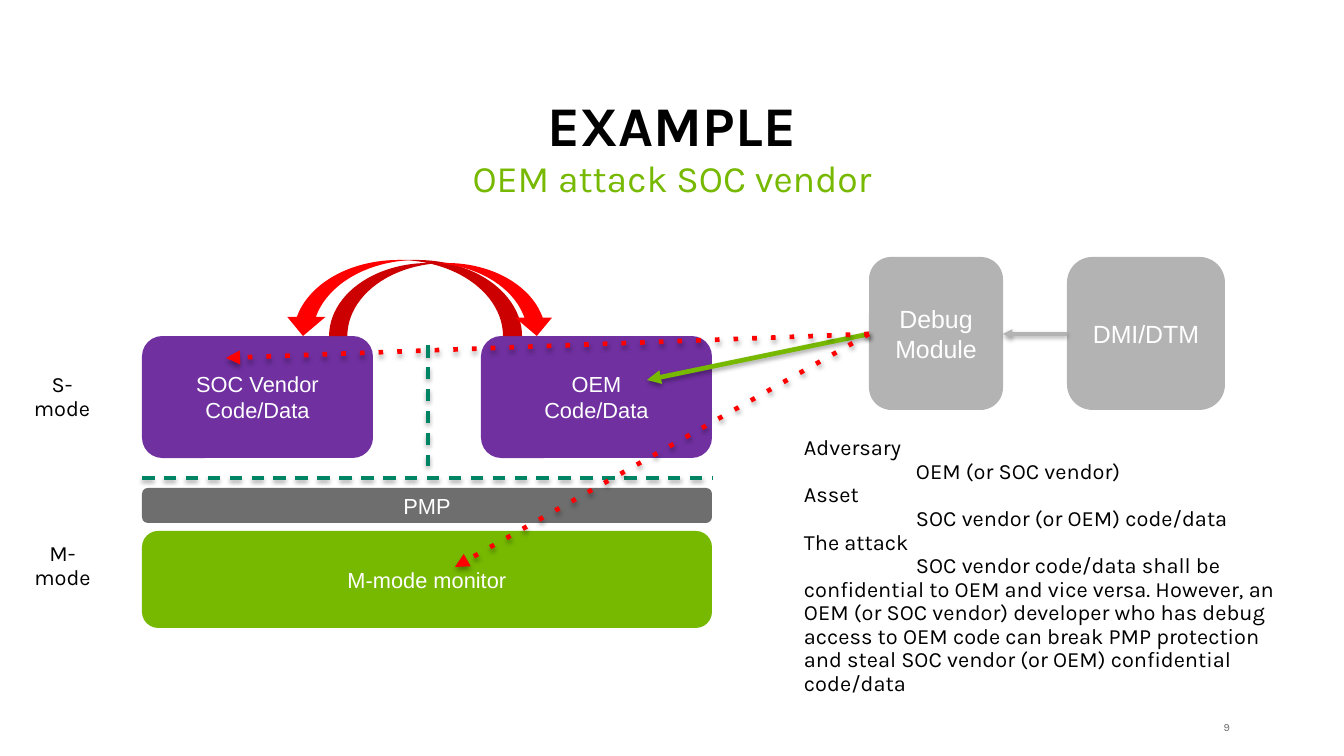
from typing import NamedTuple, Optional

from lxml.etree import SubElement
from pptx import Presentation
from pptx.dml.color import RGBColor
from pptx.enum.shapes import MSO_CONNECTOR as Connector, MSO_SHAPE as Preset
from pptx.enum.text import MSO_ANCHOR as Anchor, PP_ALIGN as Align
from pptx.oxml.ns import qn
from pptx.util import Emu, Pt

"""Builds the slide showing how an OEM attacks a SOC vendor through debug."""

PX = 914400 / 112
BLACK = RGBColor(0x00, 0x00, 0x00)
WHITE = RGBColor(0xFF, 0xFF, 0xFF)
GREEN = RGBColor(0x76, 0xB9, 0x00)
TEAL = RGBColor(0x00, 0x85, 0x64)
PURPLE = RGBColor(0x70, 0x30, 0xA0)
DARK_GRAY = RGBColor(0x6E, 0x6E, 0x6E)
LIGHT_GRAY = RGBColor(0xB3, 0xB3, 0xB3)
RED = RGBColor(0xFF, 0x00, 0x00)


class Box(NamedTuple):
    left: int
    top: int
    width: int
    height: int


class Block(NamedTuple):
    text: str
    box: Box
    fill: RGBColor
    size: int = 14


class Label(NamedTuple):
    text: str
    box: Box
    size: int = 14
    color: RGBColor = BLACK
    bold: bool = False
    align: Align = Align.CENTER
    anchor: Anchor = Anchor.MIDDLE
    spacing: float = 0.9


class Line(NamedTuple):
    start: tuple[int, int]
    end: tuple[int, int]
    color: RGBColor
    width: int
    dash: Optional[str] = None
    arrow: bool = True


DEBUG_PORT = (869, 334)
OEM_ARROW = Box(284, 260, 238, 76)
VENDOR_ARROW = Box(329, 263, 226, 73)

BLOCKS = [
    Block("M-mode monitor", Box(142, 531, 570, 97), GREEN),
    Block("OEM\nCode/Data", Box(481, 336, 231, 122), PURPLE),
    Block("SOC Vendor\nCode/Data", Box(142, 336, 231, 122), PURPLE),
    Block("PMP", Box(142, 488, 570, 35), DARK_GRAY),
    Block("Debug\nModule", Box(869, 257, 134, 153), LIGHT_GRAY, 16),
    Block("DMI/DTM", Box(1067, 257, 158, 153), LIGHT_GRAY, 16),
]
LABELS = [
    Label("EXAMPLE", Box(61, 91, 1222, 73), 36, bold=True, anchor=Anchor.BOTTOM),
    Label("OEM attack SOC vendor", Box(61, 155, 1222, 64), 24, GREEN, anchor=Anchor.TOP),
    Label("S-mode", Box(14, 380, 96, 35)),
    Label("M-mode", Box(12, 549, 101, 35)),
    Label("9", Box(1194, 718, 47, 18), 7, DARK_GRAY, align=Align.RIGHT, spacing=1.0),
]
SEPARATORS = [
    Line((142, 478), (712, 478), TEAL, 2, "dash", False),
    Line((428, 345), (428, 466), TEAL, 2, "dash", False),
]
ACCESSES = [
    Line((1067, 334), (1003, 334), LIGHT_GRAY, 2),
    Line(DEBUG_PORT, (647, 380), GREEN, 3),
    Line(DEBUG_PORT, (226, 358), RED, 3, "dot"),
    Line(DEBUG_PORT, (455, 567), RED, 3, "dot"),
]
NOTES = [
    ("Adversary", "OEM (or SOC vendor)"),
    ("Asset", "SOC vendor (or OEM) code/data"),
    (
        "The attack",
        "SOC vendor code/data shall be confidential to OEM and vice versa. "
        "However, an OEM (or SOC vendor) developer who has debug access to OEM "
        "code can break PMP protection and steal SOC vendor (or OEM) "
        "confidential code/data",
    ),
]


def px(length: int) -> Emu:
    return Emu(round(length * PX))


def place(box: Box) -> list[Emu]:
    return [px(length) for length in box]


def style_text(shape, font: str, size: int, color: RGBColor, bold: bool = False,
               align: Align = Align.CENTER, anchor: Anchor = Anchor.MIDDLE,
               spacing: float = 1.0) -> None:
    frame = shape.text_frame
    frame.word_wrap = True
    frame.vertical_anchor = anchor
    for paragraph in frame.paragraphs:
        paragraph.alignment = align
        paragraph.line_spacing = spacing
        for run in paragraph.runs:
            run.font.name = font
            run.font.size = Pt(size)
            run.font.bold = bold
            run.font.color.rgb = color


def add_filled(slide, preset: Preset, box: Box, fill: RGBColor):
    shape = slide.shapes.add_shape(preset, *place(box))
    shape.shadow.inherit = False
    shape.fill.solid()
    shape.fill.fore_color.rgb = fill
    shape.line.fill.background()
    return shape


def add_block(slide, block: Block) -> None:
    shape = add_filled(slide, Preset.ROUNDED_RECTANGLE, block.box, block.fill)
    shape.text_frame.text = block.text
    style_text(shape, "Arial", block.size, WHITE)


def add_label(slide, label: Label):
    shape = slide.shapes.add_textbox(*place(label.box))
    shape.text_frame.text = label.text
    style_text(shape, "Karla", label.size, label.color, label.bold,
               label.align, label.anchor, label.spacing)
    return shape


def add_shadow(connector, line: Line) -> None:
    effects = SubElement(connector._element.spPr, qn("a:effectLst"))
    distance = 1.6 if line.width == 2 else 1.8
    shadow = SubElement(effects, qn("a:outerShdw"), blurRad=str(Pt(3.1)),
                        dist=str(Pt(distance)), dir="5400000", rotWithShape="0")
    color = SubElement(shadow, qn("a:srgbClr"), val=str(BLACK))
    SubElement(color, qn("a:alpha"), val="38000" if line.width == 2 else "35000")


def add_line(slide, line: Line) -> None:
    points = [px(length) for length in line.start + line.end]
    connector = slide.shapes.add_connector(Connector.STRAIGHT, *points)
    connector.line.color.rgb = line.color
    connector.line.width = Pt(line.width)
    outline = connector.line._get_or_add_ln()
    if line.dash:
        SubElement(outline, qn("a:prstDash"), val=line.dash)
    if line.arrow:
        SubElement(outline, qn("a:tailEnd"), type="triangle")
    add_shadow(connector, line)


def add_curved_arrow(slide, box: Box, flipped: bool) -> None:
    shape = add_filled(slide, Preset.CURVED_UP_ARROW, box, RED)
    shape.rotation = 180
    if flipped:
        shape._element.spPr.find(qn("a:xfrm")).set("flipH", "1")


def add_notes(slide) -> None:
    text = "\n".join(line for note in NOTES for line in note)
    shape = add_label(slide, Label(text, Box(793, 442, 513, 249), align=Align.LEFT))
    for paragraph in shape.text_frame.paragraphs[1::2]:
        paragraph._p.get_or_add_pPr().set("indent", str(px(112)))


def main() -> None:
    presentation = Presentation()
    presentation.slide_width = px(1344)
    presentation.slide_height = px(756)
    slide = presentation.slides.add_slide(presentation.slide_layouts[6])
    for label in LABELS:
        add_label(slide, label)
    for block in BLOCKS:
        add_block(slide, block)
    for line in SEPARATORS + ACCESSES:
        add_line(slide, line)
    add_curved_arrow(slide, OEM_ARROW, False)
    add_curved_arrow(slide, VENDOR_ARROW, True)
    add_notes(slide)
    presentation.save("out.pptx")


if __name__ == "__main__":
    main()
